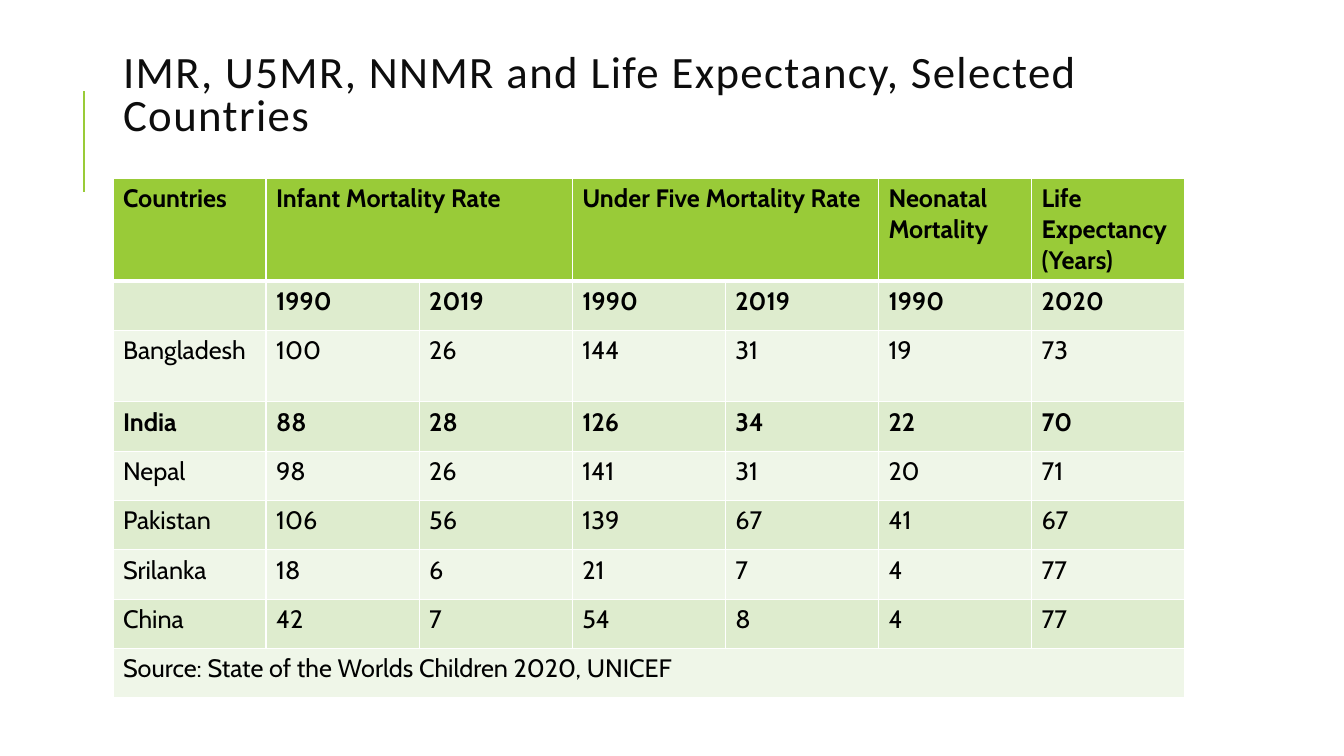
import pptx
import pptx.util
import pptx.dml.color
import pptx.enum.shapes
import pptx.enum.text
import pptx.oxml.ns
import lxml.etree

Inches, Pt = pptx.util.Inches, pptx.util.Pt
qn = pptx.oxml.ns.qn
GREEN, BAND, PALE, WHITE = "99CB38", "DEECCE", "EFF6E8", "FFFFFF"


def rgb(value):
    return pptx.dml.color.RGBColor.from_string(value)


def set_border(cell, side, width):
    """Draw one white cell edge; call before the cell is filled."""
    ln = lxml.etree.SubElement(cell._tc.get_or_add_tcPr(), qn("a:ln" + side), w=str(Pt(width)))
    fill = lxml.etree.SubElement(ln, qn("a:solidFill"))
    lxml.etree.SubElement(fill, qn("a:srgbClr"), val=WHITE)


prs = pptx.Presentation()
prs.slide_width, prs.slide_height = Inches(13.33), Inches(7.5)
s = prs.slides.add_slide(prs.slide_layouts[5])
left, width = Inches(1.12), Inches(10.63)

# Accent line beside the title
line = s.shapes.add_connector(pptx.enum.shapes.MSO_CONNECTOR.STRAIGHT,
                              Inches(0.83), Inches(1.9), Inches(0.83), Inches(0.9))
line.line.color.rgb = rgb(GREEN)
line.line.width = Pt(1.5)
lxml.etree.SubElement(line._element.spPr, qn("a:effectLst"))

# Title
title = s.shapes.title
title.left, title.top, title.width, title.height = left, Inches(0.64), width, Inches(0.64)
tf = title.text_frame
tf.text = "IMR, U5MR, NNMR and Life Expectancy, Selected Countries"
tf.word_wrap = True
tf.auto_size = pptx.enum.text.MSO_AUTO_SIZE.NONE
tf.vertical_anchor = pptx.enum.text.MSO_ANCHOR.MIDDLE
p = tf.paragraphs[0]
p.alignment = pptx.enum.text.PP_ALIGN.LEFT
p.line_spacing = 0.8
r = p.runs[0]
for name, value in {"name": "Calibri", "size": Pt(32)}.items():
    setattr(r.font, name, value)
r.font.color.rgb = rgb("0D0D0D")
r._r.get_or_add_rPr().set("spc", "100")

# Table
rows = [
    ["Countries", "Infant Mortality Rate", "", "Under Five Mortality Rate", "",
     "Neonatal Mortality", "Life Expectancy\n(Years)"],
    ["", "1990", "2019", "1990", "2019", "1990", "2020"],
    ["Bangladesh", "100", "26", "144", "31", "19", "73"],
    ["India", "88", "28", "126", "34", "22", "70"],
    ["Nepal", "98", "26", "141", "31", "20", "71"],
    ["Pakistan", "106", "56", "139", "67", "41", "67"],
    ["Srilanka", "18", "6", "21", "7", "4", "77"],
    ["China", "42", "7", "54", "8", "4", "77"],
    ["Source: State of the Worlds Children 2020, UNICEF"] + [""] * 6,
]
bold_rows = (0, 1, 3)
tall_rows = {0: 1.0, 2: 0.71}
table = s.shapes.add_table(len(rows), 7, left, Inches(1.77), width, Inches(5.11)).table
for column in table.columns:
    column.width = width // 7

for i, values in enumerate(rows):
    table.rows[i].height = Inches(tall_rows.get(i, 0.49))
    fill = GREEN if i == 0 else BAND if i % 2 else PALE
    for j, text in enumerate(values):
        cell = table.cell(i, j)
        for side in "LRTB":
            heavy = (i, side) in ((0, "B"), (1, "T"))
            set_border(cell, side, 3 if heavy else 1)
        cell.fill.solid()
        cell.fill.fore_color.rgb = rgb(fill)
        cell.text = text
        for p in cell.text_frame.paragraphs:
            font = {"name": "Cabin", "size": Pt(18), "bold": i in bold_rows}
            for name, value in font.items():
                setattr(p.font, name, value)
                for r in p.runs:
                    setattr(r.font, name, value)
            for r in p.runs:
                r.font.color.rgb = rgb("000000")

for row, first, last in ((0, 1, 2), (0, 3, 4), (8, 0, 6)):
    table.cell(row, first).merge(table.cell(row, last))

prs.save("out.pptx")
